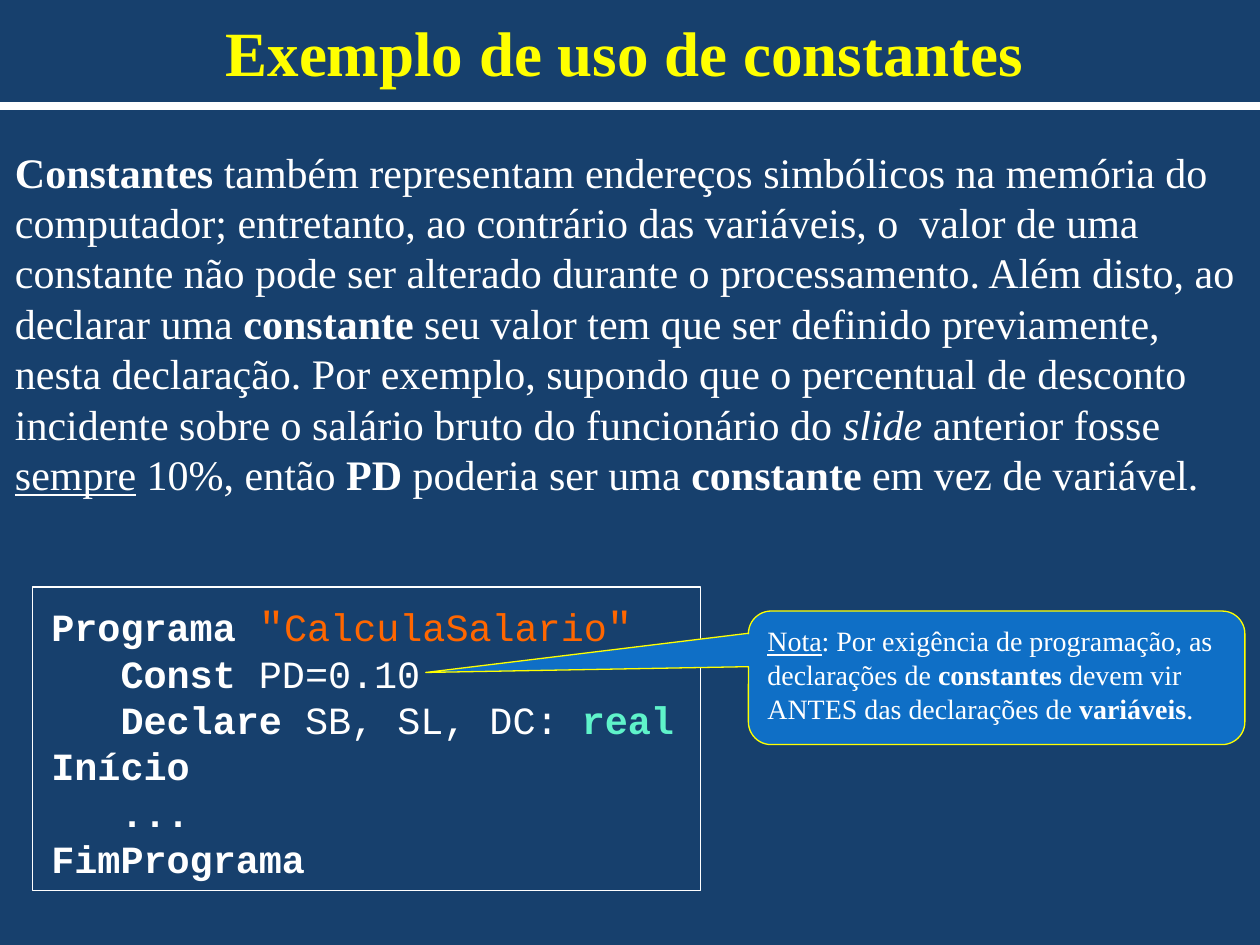
from collections import namedtuple
from dataclasses import dataclass

from lxml import etree
from pptx import Presentation
from pptx.dml.color import RGBColor
from pptx.enum.shapes import MSO_CONNECTOR, MSO_SHAPE
from pptx.enum.text import MSO_ANCHOR, MSO_AUTO_SIZE, PP_ALIGN
from pptx.oxml.ns import qn
from pptx.util import Inches, Pt

RECTANGLE = MSO_SHAPE.RECTANGLE
CALLOUT = MSO_SHAPE.ROUNDED_RECTANGULAR_CALLOUT
STRAIGHT = MSO_CONNECTOR.STRAIGHT
TOP, MIDDLE = MSO_ANCHOR.TOP, MSO_ANCHOR.MIDDLE
LEFT, CENTER = PP_ALIGN.LEFT, PP_ALIGN.CENTER
FIT_SHAPE, NO_FIT = MSO_AUTO_SIZE.SHAPE_TO_FIT_TEXT, MSO_AUTO_SIZE.NONE

WIDTH, HEIGHT = Inches(10), Inches(7.5)
COLUMNS, ROWS = 100, 75

Box = namedtuple("Box", "left top width height")


@dataclass(frozen=True)
class Theme:
    background: str = "17406D"
    text: str = "FFFFFF"
    accent: str = "FFFF00"
    note: str = "0F6FC6"
    string: str = "FF6600"
    kind: str = "5FF3CA"
    serif: str = "Times New Roman"
    mono: str = "Courier New"
    title_size: int = 36
    body_size: int = 24
    code_size: int = 22
    note_size: int = 16
    thin: float = 0.75
    thick: float = 4.5


THEME = Theme()
BOLD, ITALIC, UNDERLINE = {"bold": True}, {"italic": True}, {"underline": True}
STRING = {"color": THEME.string}
QUOTE = {"color": THEME.string, "size": THEME.body_size}
KIND = {"color": THEME.kind, "bold": True}

TITLE = [[("Exemplo de uso de constantes ", BOLD)]]
BODY = [
    [("Constantes", BOLD), (" também representam endereços simbólicos na memória do", {})],
    [("computador; entretanto, ao contrário das variáveis, o  valor de uma", {})],
    [("constante não pode ser alterado durante o processamento. Além disto, ao", {})],
    [
        ("declarar uma ", {}),
        ("constante", BOLD),
        (" seu valor tem que ser definido previamente, nesta declaração. "
         "Por exemplo, supondo que o percentual de desconto incidente sobre "
         "o salário bruto do funcionário do ", {}),
        ("slide", ITALIC),
        (" anterior fosse ", {}),
        ("sempre", UNDERLINE),
        (" 10%, então ", {}),
        ("PD", BOLD),
        (" poderia ser uma ", {}),
        ("constante", BOLD),
        (" em vez de variável.", {}),
    ],
]
CODE = [
    [("Programa ", BOLD), ('"', QUOTE), ("CalculaSalario", STRING), ('"', QUOTE)],
    [("   Const", BOLD), (" PD=0.10", {})],
    [("   Declare", BOLD), (" SB, SL, DC: ", {}), ("real", KIND)],
    [("Início", BOLD)],
    [("   ...", BOLD)],
    [("FimPrograma", BOLD)],
]
NOTE = [[
    ("Nota", UNDERLINE),
    (": Por exigência de programação, as declarações de ", {}),
    ("constantes", BOLD),
    (" devem vir ANTES das declarações de ", {}),
    ("variáveis", BOLD),
    (".", {}),
]]


def place(box):
    column, row = WIDTH / COLUMNS, HEIGHT / ROWS
    return (round(box.left * column), round(box.top * row),
            round(box.width * column), round(box.height * row))


def paint(part, color):
    part.solid()
    part.fore_color.rgb = RGBColor.from_string(color)


def outline(line, color, width):
    paint(line.fill, color)
    line.width = Pt(width)


def write(shape, paragraphs, style, align=LEFT, anchor=TOP, fit=NO_FIT):
    frame = shape.text_frame
    settings = {"word_wrap": True, "vertical_anchor": anchor, "auto_size": fit}
    for name, value in settings.items():
        setattr(frame, name, value)
    for index, spans in enumerate(paragraphs):
        para = frame.paragraphs[0] if index == 0 else frame.add_paragraph()
        para.alignment = align
        for text, changes in spans:
            span = para.add_run()
            span.text = text
            values = {"bold": False, **style, **changes}
            values["size"] = Pt(values["size"])
            span.font.color.rgb = RGBColor.from_string(values.pop("color"))
            for name, value in values.items():
                setattr(span.font, name, value)


def add_title(page, box):
    title = page.shapes.title
    title.left, title.top, title.width, title.height = place(box)
    style = {"name": THEME.serif, "size": THEME.title_size, "color": THEME.accent}
    write(title, TITLE, style, CENTER, MIDDLE)


def add_rule(page, box):
    left, top, width, height = place(box)
    rule = page.shapes.add_connector(STRAIGHT, left, top, left + width, top + height)
    outline(rule.line, THEME.text, THEME.thick)
    etree.SubElement(rule.element.spPr, qn("a:effectLst"))


def add_body(page, box):
    body = page.shapes.add_textbox(*place(box))
    style = {"name": THEME.serif, "size": THEME.body_size, "color": THEME.text}
    write(body, BODY, style, fit=FIT_SHAPE)


def add_code(page, box):
    inset = 0.5
    inner = Box(box.left + inset, box.top + inset, box.width + 2, box.height - inset)
    listing = page.shapes.add_textbox(*place(inner))
    style = {"name": THEME.mono, "size": THEME.code_size, "color": THEME.text}
    write(listing, CODE, style, fit=FIT_SHAPE)
    border = page.shapes.add_shape(RECTANGLE, *place(box))
    border.shadow.inherit = False
    border.fill.background()
    outline(border.line, THEME.text, THEME.thin)


def add_note(page, box):
    note = page.shapes.add_shape(CALLOUT, *place(box))
    note.shadow.inherit = False
    for index, value in enumerate((-1.15, -0.04, 0.17)):
        note.adjustments[index] = value
    paint(note.fill, THEME.note)
    outline(note.line, THEME.accent, THEME.thin)
    style = {"name": THEME.serif, "size": THEME.note_size, "color": THEME.text}
    write(note, NOTE, style)


def main():
    deck = Presentation()
    deck.slide_width, deck.slide_height = WIDTH, HEIGHT
    page = deck.slides.add_slide(deck.slide_layouts.get_by_name("Title Only"))
    paint(page.background.fill, THEME.background)
    add_title(page, Box(3.2, 0.2, 94, 7.8))
    add_rule(page, Box(0, 8.4, COLUMNS, 0))
    add_body(page, Box(0.2, 11.1, 99.8, 29.3))
    add_code(page, Box(2.6, 46.6, 53, 24.1))
    add_note(page, Box(59.4, 48.5, 39.4, 10.6))
    deck.save("out.pptx")


if __name__ == "__main__":
    main()
